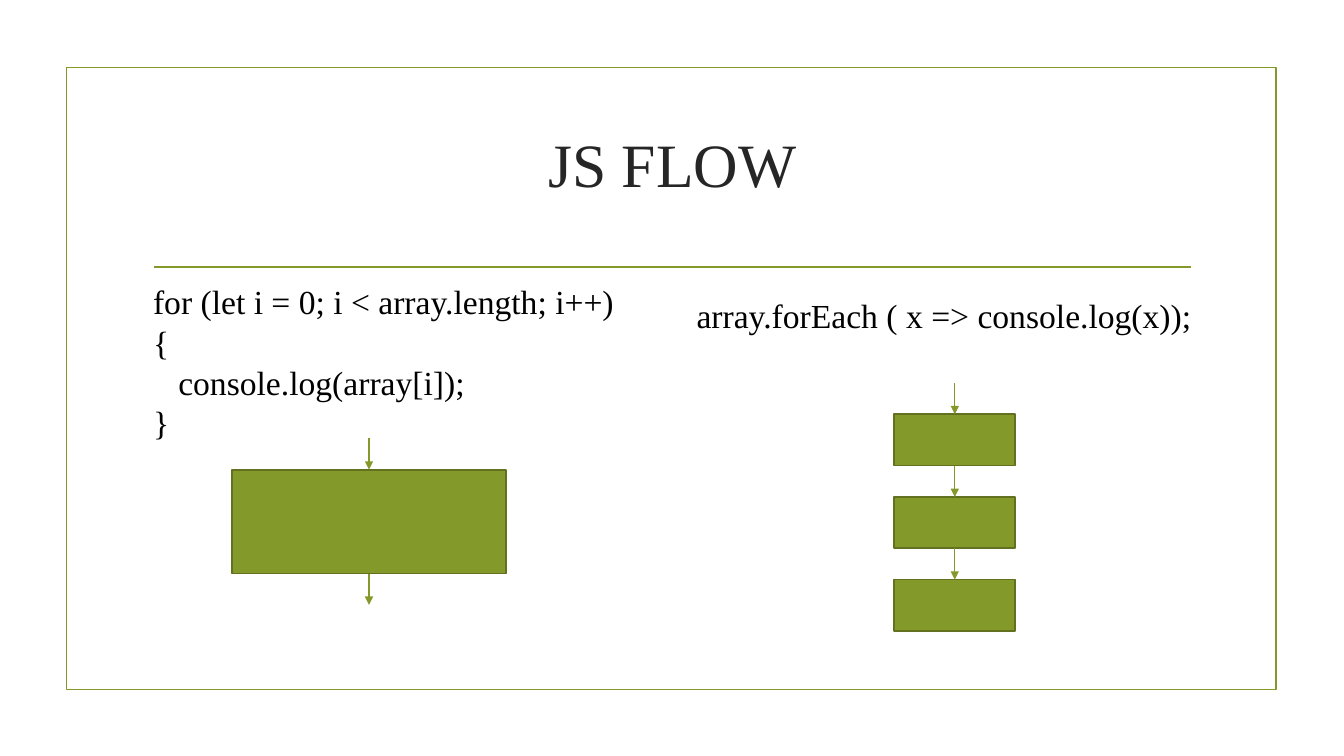
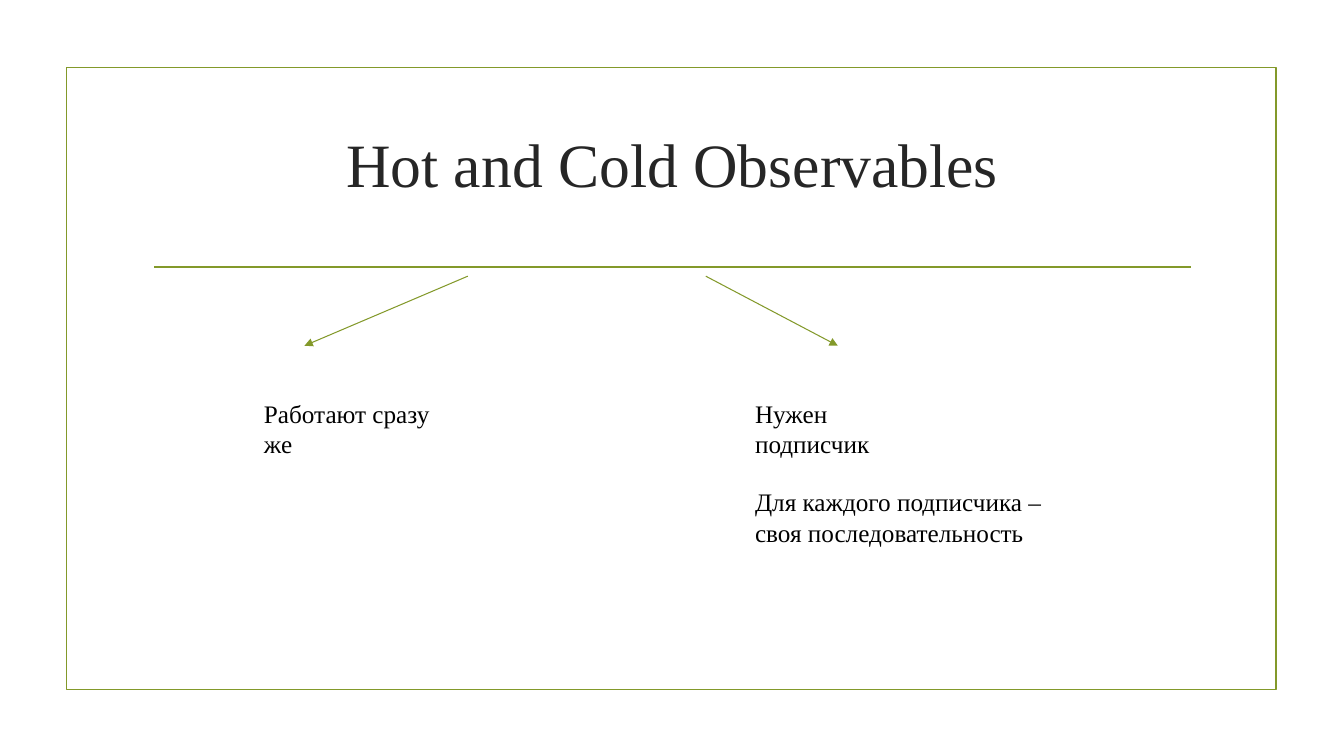
from lxml.etree import SubElement
from pptx import Presentation
from pptx.dml.color import RGBColor
from pptx.enum.shapes import MSO_CONNECTOR, MSO_SHAPE
from pptx.enum.text import MSO_ANCHOR, PP_ALIGN
from pptx.oxml.ns import qn
from pptx.util import Inches, Pt

FONT = "Times New Roman"
OLIVE = RGBColor(0x83, 0x99, 0x2A)
DARK_OLIVE = RGBColor(0x61, 0x71, 0x1F)
CHARCOAL = RGBColor(0x26, 0x26, 0x26)
BLACK = RGBColor(0, 0, 0)
ARROW_LENGTH = 0.31
INDENT = 0.25

# Content: notes are (box, size, [(line, indent level)]),
# flows are (centre, top, width, height, step count, has exit arrow)
SLIDES = [
    {
        "title": "JS FLOW",
        "notes": [
            ((1.42, 2.74, 5, 1.31), 24, [
                ("for (let i = 0; i < array.length; i++) {", 0),
                ("console.log(array[i]);", 1),
                ("}", 0),
            ]),
            ((6.81, 2.88, 5.32, 0.5), 24,
             [("array.forEach ( x => console.log(x));", 0)]),
        ],
        "flows": [
            (3.66, 4.66, 2.72, 1.03, 1, True),
            (9.47, 4.11, 1.2, 0.51, 3, False),
        ],
        "branches": [],
    },
    {
        "title": "Hot and Cold Observables",
        "notes": [
            ((2.52, 3.9, 2.1, 0.4), 18, [("Работают сразу же", 0)]),
            ((7.39, 3.9, 2.05, 0.4), 18, [("Нужен подписчик", 0)]),
            ((7.39, 4.78, 3.1, 0.71), 18, [
                ("Для каждого подписчика –", 0),
                ("своя последовательность", 0),
            ]),
        ],
        "flows": [],
        "branches": [((4.64, 2.74), (3.02, 3.43)),
                     ((7, 2.74), (8.31, 3.43))],
    },
]


def inches(values):
    return [Inches(value) for value in values]


def add_line(slide, start, end, width, arrow=False):
    line = slide.shapes.add_connector(
        MSO_CONNECTOR.STRAIGHT, *inches(start + end))
    line.line.color.rgb = OLIVE
    line.line.width = Pt(width)
    if arrow:
        SubElement(line.line._get_or_add_ln(), qn("a:tailEnd"), type="triangle")
    SubElement(line.element.spPr, qn("a:effectLst"))
    return line


def add_rectangle(slide, box, fill, outline):
    rectangle = slide.shapes.add_shape(MSO_SHAPE.RECTANGLE, *inches(box))
    rectangle.shadow.inherit = False
    if fill is None:
        rectangle.fill.background()
    else:
        rectangle.fill.solid()
        rectangle.fill.fore_color.rgb = fill
    rectangle.line.color.rgb = outline
    rectangle.line.width = Pt(1.25)
    return rectangle


def style(paragraph, size, color):
    paragraph.font.name = FONT
    paragraph.font.size = Pt(size)
    paragraph.font.color.rgb = color


def add_title(slide, text):
    title = slide.shapes.title
    title.text_frame.text = text
    title.text_frame.vertical_anchor = MSO_ANCHOR.MIDDLE
    paragraph = title.text_frame.paragraphs[0]
    paragraph.alignment = PP_ALIGN.CENTER
    style(paragraph, 44, CHARCOAL)


def add_note(slide, box, size, lines):
    frame = slide.shapes.add_textbox(*inches(box)).text_frame
    frame.word_wrap = True
    frame.text = "\n".join(text for text, _ in lines)
    for paragraph, (_, level) in zip(frame.paragraphs, lines):
        style(paragraph, size, BLACK)
        if level:
            margin = Inches(level * INDENT)
            paragraph._p.get_or_add_pPr().set("marL", str(margin))


def add_flow(slide, center, top, width, height, steps, has_exit):
    for _ in range(steps):
        add_rectangle(slide, (center - width / 2, top, width, height),
                      OLIVE, DARK_OLIVE)
        add_line(slide, (center, top - ARROW_LENGTH), (center, top), 0.75, True)
        top += height + ARROW_LENGTH
    if has_exit:
        add_line(slide, (center, top - ARROW_LENGTH), (center, top), 0.75, True)


def decorate_layout(layout, slide):
    """Place the frame and title rule on the layout, behind every slide."""
    frame = add_rectangle(slide, (0.66, 0.67, 12, 6.17), None, OLIVE)
    rule = add_line(slide, (1.53, 2.65), (11.81, 2.65), 1.25)
    for part in (frame, rule):
        layout.shapes.element.append(part.element)


def main():
    deck = Presentation()
    deck.slide_width, deck.slide_height = inches((13.33, 7.5))
    layout = deck.slide_layouts.get_by_name("Title Only")
    title = layout.placeholders[0]
    title.left, title.top, title.width, title.height = inches(
        (1.42, 1.07, 10.5, 1.09))

    for index, content in enumerate(SLIDES):
        slide = deck.slides.add_slide(layout)
        if index == 0:
            decorate_layout(layout, slide)
        add_title(slide, content["title"])
        for note in content["notes"]:
            add_note(slide, *note)
        for flow in content["flows"]:
            add_flow(slide, *flow)
        for start, end in content["branches"]:
            add_line(slide, start, end, 0.75, True)

    deck.save("out.pptx")


if __name__ == "__main__":
    main()
